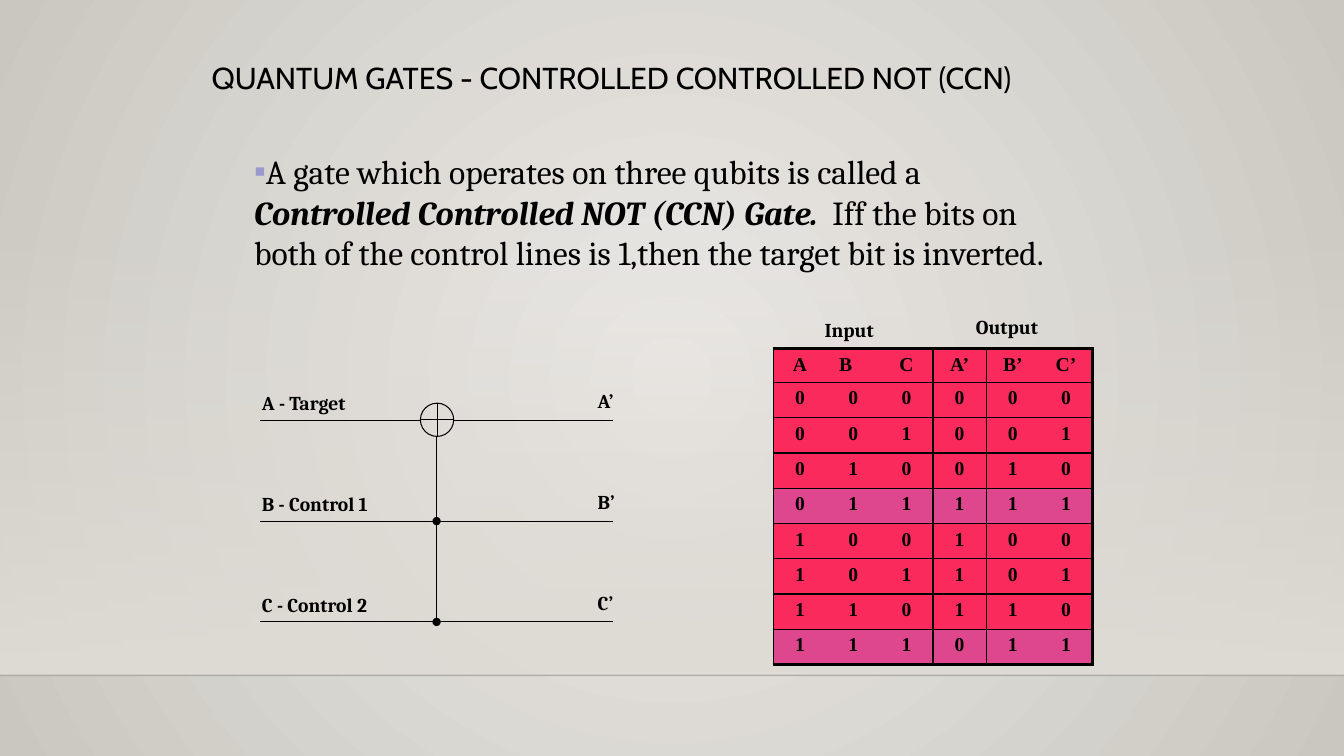
from dataclasses import dataclass
from typing import NamedTuple

from lxml import etree
from pptx import Presentation
from pptx.dml.color import RGBColor
from pptx.enum.shapes import MSO_CONNECTOR, MSO_SHAPE
from pptx.enum.text import MSO_ANCHOR, MSO_AUTO_SIZE, PP_ALIGN
from pptx.oxml.ns import qn
from pptx.util import Emu, Pt

STRAIGHT = MSO_CONNECTOR.STRAIGHT
RECTANGLE, TARGET_SYMBOL = MSO_SHAPE.RECTANGLE, MSO_SHAPE.FLOWCHART_OR
LEFT, CENTER, TOP = PP_ALIGN.LEFT, PP_ALIGN.CENTER, MSO_ANCHOR.TOP
NO_FIT, GROW = MSO_AUTO_SIZE.NONE, MSO_AUTO_SIZE.SHAPE_TO_FIT_TEXT
PLAIN_TABLE = "{2D5ABB26-0587-4C30-8999-92F81FD0307C}"
EMU_PER_PX = 9144


@dataclass(frozen=True)
class Theme:
    ink: str = "000000"
    glow: str = "ECEAE7"
    edge: str = "CAC7C1"
    wall: str = "DFDBD5"
    bullet: str = "9999CC"
    row: str = "FA2B5C"
    inverted_row: str = "DE478E"
    title_font: str = "Cabin"
    body_font: str = "Cambria"
    table_font: str = "Times New Roman"
    title_size: float = 21.6
    body_size: float = 24
    label_size: float = 14
    wire: float = 0.75
    thin: float = 1
    thick: float = 2.25


class Label(NamedTuple):
    text: str
    left: int
    top: int
    width: int


class Line(NamedTuple):
    x1: int
    y1: int
    x2: int
    y2: int
    dot: bool = False


class Wire(NamedTuple):
    name: str
    result: str
    y: int


THEME = Theme()
WIRES = [Wire("A - Target", "A’", 417), Wire("B - Control 1", "B’", 517),
         Wire("C - Control 2", "C’", 617)]
WIRE_START, WIRE_END = 258, 608
GATE_LEFT, GATE_TOP, GATE_SIZE = 417, 400, 33
GATE_X = 433
HEADER = ["A", "B", "C", "A’", "B’", "C’"]
HEADER_HEIGHT, ROW_HEIGHT = 33, 35
TABLE_LEFT, TABLE_TOP, TABLE_WIDTH = 767, 346, 317
BODY_RUNS = [
    ("A gate which operates on three qubits is called a ", False),
    ("Controlled Controlled NOT (CCN) Gate.  ", True),
    ("Iff the bits on both of the control lines is 1,then the target bit is inverted.", False),
]


def px(value: int) -> Emu:
    return Emu(value * EMU_PER_PX)


def rgb(color: str) -> RGBColor:
    return RGBColor.from_string(color)


def add_child(parent, tag: str, **attributes: str):
    child = etree.SubElement(parent, qn(tag))
    for name, value in attributes.items():
        child.set(name, value)
    return child


def place(shape, left: int, top: int, width: int, height: int) -> None:
    shape.left, shape.top, shape.width, shape.height = map(px, (left, top, width, height))


def format_run(run, font: str, size: float, bold: bool = False, italic: bool = False) -> None:
    run.font.name, run.font.size = font, Pt(size)
    run.font.bold, run.font.italic = bold, italic
    run.font.color.rgb = rgb(THEME.ink)


def set_gradient(fill, start: str, end: str) -> None:
    fill.gradient()
    for stop, color, position in zip(fill.gradient_stops, (start, end), (0, 1)):
        stop.color.rgb = rgb(color)
        stop.position = position


def draw_background(slide) -> None:
    set_gradient(slide.background.fill, THEME.glow, THEME.edge)
    gradient = slide.element.find(".//" + qn("a:gradFill"))
    gradient.remove(gradient.find(qn("a:lin")))
    circle = add_child(gradient, "a:path", path="circle")
    add_child(circle, "a:fillToRect", l="50000", t="50000", r="50000", b="50000")

    wall = slide.shapes.add_shape(RECTANGLE, px(0), px(221), px(1333), px(449))
    wall.shadow.inherit = False
    wall.line.fill.background()
    set_gradient(wall.fill, THEME.wall, THEME.wall)
    wall.fill.gradient_angle = 270
    add_child(wall.element.find(".//" + qn("a:srgbClr")), "a:alpha", val="0")
    wall.element.getparent().insert(2, wall.element)

    horizon = draw_line(slide, Line(0, 670, 1333, 670), THEME.thin)
    add_child(horizon.element.find(".//" + qn("a:srgbClr")), "a:alpha", val="20000")


def draw_line(slide, line: Line, width: float = THEME.wire):
    connector = slide.shapes.add_connector(
        STRAIGHT, px(line.x1), px(line.y1), px(line.x2), px(line.y2))
    connector.line.color.rgb = rgb(THEME.ink)
    connector.line.width = Pt(width)
    properties = connector.element.spPr
    if line.dot:
        add_child(properties.find(qn("a:ln")), "a:tailEnd", type="oval")
    add_child(properties, "a:effectLst")
    return connector


def draw_label(slide, label: Label) -> None:
    box = slide.shapes.add_textbox(px(label.left), px(label.top), px(label.width), px(33))
    frame = box.text_frame
    frame.text = label.text
    frame.word_wrap, frame.auto_size = True, GROW
    format_run(frame.paragraphs[0].runs[0], THEME.body_font, THEME.label_size, bold=True)


def write_title(slide) -> None:
    title = slide.shapes.title
    place(title, 200, 58, 942, 50)
    frame = title.text_frame
    frame.text = "QUANTUM GATES - CONTROLLED CONTROLLED NOT (CCN)"
    frame.vertical_anchor, frame.auto_size = TOP, NO_FIT
    paragraph = frame.paragraphs[0]
    paragraph.alignment, paragraph.line_spacing = LEFT, 0.9
    format_run(paragraph.runs[0], THEME.title_font, THEME.title_size)


def write_body(slide) -> None:
    body = slide.placeholders[1]
    place(body, 242, 145, 828, 131)
    frame = body.text_frame
    frame.vertical_anchor, frame.auto_size = TOP, NO_FIT
    paragraph = frame.paragraphs[0]
    properties = paragraph._p.get_or_add_pPr()
    properties.set("marL", "0")
    properties.set("indent", "0")
    add_child(add_child(properties, "a:buClr"), "a:srgbClr", val=THEME.bullet)
    add_child(properties, "a:buFont", typeface="Arial")
    add_child(properties, "a:buChar", char="▪")
    paragraph.space_before = Pt(0)
    for text, emphasis in BODY_RUNS:
        run = paragraph.add_run()
        run.text = text
        format_run(run, THEME.body_font, THEME.body_size, emphasis, emphasis)


def draw_circuit(slide) -> None:
    target, *controls = WIRES
    gate = slide.shapes.add_shape(
        TARGET_SYMBOL, px(GATE_LEFT), px(GATE_TOP), px(GATE_SIZE), px(GATE_SIZE))
    gate.shadow.inherit = False
    gate.fill.background()
    gate.line.color.rgb = rgb(THEME.ink)
    gate.line.width = Pt(THEME.wire)
    draw_line(slide, Line(WIRE_START, target.y, GATE_LEFT, target.y))
    draw_line(slide, Line(GATE_LEFT + GATE_SIZE, target.y, WIRE_END, target.y))
    link_start = GATE_TOP + GATE_SIZE
    for wire in controls:
        draw_line(slide, Line(WIRE_START, wire.y, WIRE_END, wire.y))
        draw_line(slide, Line(GATE_X, link_start, GATE_X, wire.y, dot=True))
        link_start = wire.y
    for wire in WIRES:
        draw_label(slide, Label(wire.name, 250, wire.y - 34, 133))
        draw_label(slide, Label(wire.result, 583, wire.y - 36, 52))


def truth_rows() -> list[list[str]]:
    """Header, then each input with its output; A flips when B and C are both 1."""
    rows = [HEADER]
    for number in range(8):
        a, b, c = number >> 2, number >> 1 & 1, number & 1
        rows.append([str(bit) for bit in (a, b, c, a ^ (b & c), b, c)])
    return rows


def set_borders(cell, row: int, column: int, last_row: int) -> None:
    borders = {"a:lnL": THEME.thin if column in (0, 3) else 0,
               "a:lnR": {2: THEME.thin, 5: THEME.thick}.get(column, 0),
               "a:lnT": THEME.thick if row == 0 else THEME.thin,
               "a:lnB": THEME.thick if row == last_row else THEME.thin}
    properties = cell._tc.get_or_add_tcPr()
    for tag, width in borders.items():
        if width:
            border = add_child(properties, tag, w=str(Pt(width)))
            add_child(add_child(border, "a:solidFill"), "a:srgbClr", val=THEME.ink)


def draw_truth_table(slide) -> None:
    rows = truth_rows()
    last_row = len(rows) - 1
    frame = slide.shapes.add_table(
        len(rows), len(HEADER), px(TABLE_LEFT), px(TABLE_TOP), px(TABLE_WIDTH),
        px(HEADER_HEIGHT + last_row * ROW_HEIGHT))
    table = frame.table
    table.first_row = table.horz_banding = False
    table._tbl.tblPr.find(qn("a:tableStyleId")).text = PLAIN_TABLE
    for row, values in enumerate(rows):
        table.rows[row].height = px(ROW_HEIGHT if row else HEADER_HEIGHT)
        inverted = values[1:3] == ["1", "1"]
        for column, value in enumerate(values):
            cell = table.cell(row, column)
            set_borders(cell, row, column, last_row)
            cell.fill.solid()
            cell.fill.fore_color.rgb = rgb(THEME.inverted_row if inverted else THEME.row)
            cell.text = value
            paragraph = cell.text_frame.paragraphs[0]
            paragraph.alignment = CENTER
            format_run(paragraph.runs[0], THEME.table_font, THEME.label_size, bold=True)
    table.cell(0, 1).margin_right = px(25)
    draw_label(slide, Label("Input", 808, 310, 73))
    draw_label(slide, Label("Output", 958, 308, 92))


def main() -> None:
    presentation = Presentation()
    presentation.slide_width, presentation.slide_height = px(1333), px(750)
    slide = presentation.slides.add_slide(presentation.slide_layouts[1])
    draw_background(slide)
    write_title(slide)
    draw_circuit(slide)
    draw_truth_table(slide)
    write_body(slide)
    presentation.save("out.pptx")


if __name__ == "__main__":
    main()
